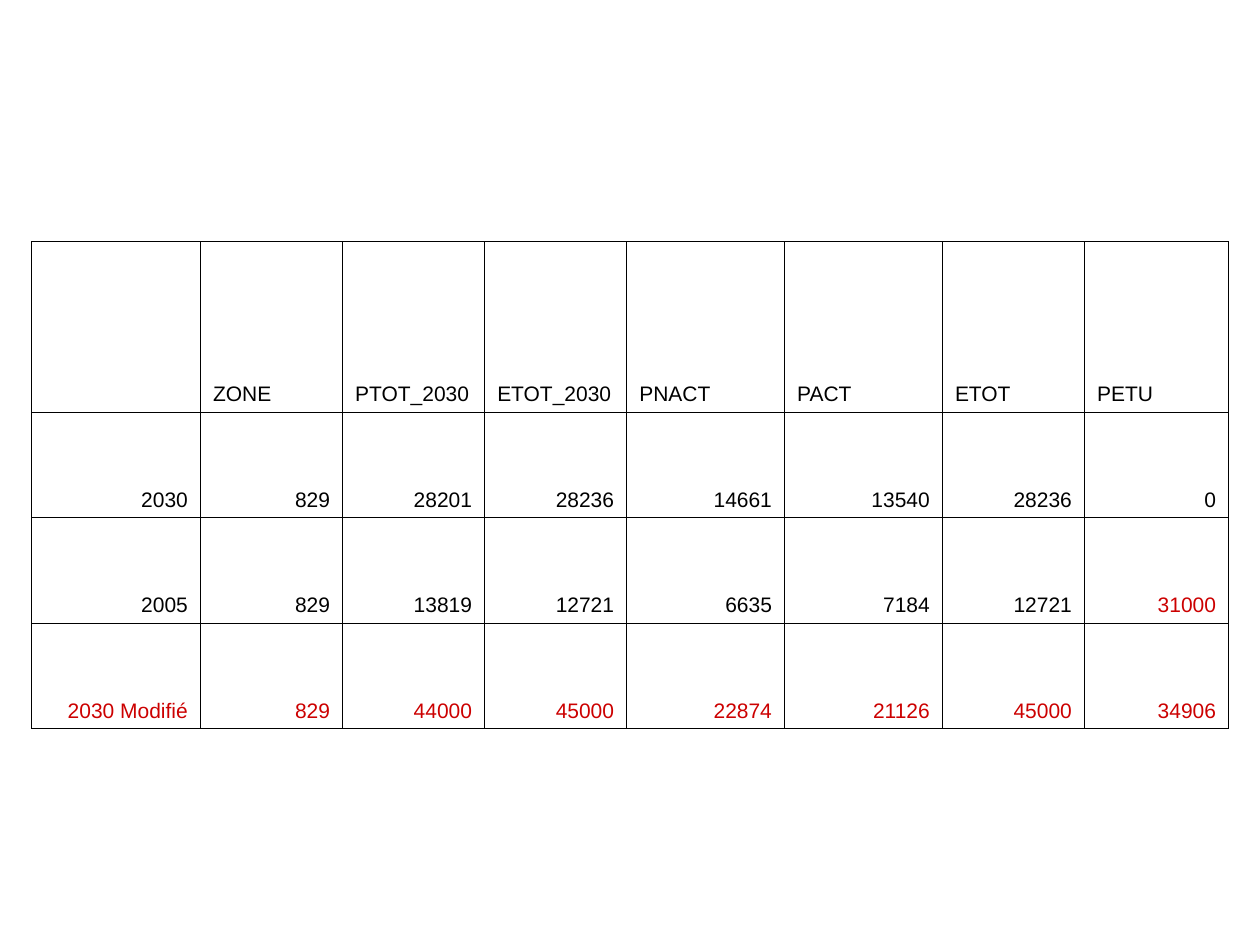
from dataclasses import dataclass

from lxml.etree import SubElement
from pptx import Presentation
from pptx.dml.color import RGBColor as RGB
from pptx.enum.text import MSO_ANCHOR as Anchor, PP_ALIGN as Align
from pptx.oxml.ns import qn
from pptx.util import Pt


@dataclass(frozen=True)
class Theme:
    font: str = "Arial"
    size: float = 12
    text: str = "000000"
    changed: str = "CC0000"
    border: str = "000000"
    border_width: float = 0.45


class Deck:
    def __init__(self, prs, theme):
        self.prs = prs
        self.theme = theme
        self.s = None

    def slide(self):
        self.s = self.prs.slides.add_slide(self.prs.slide_layouts[6])

    def table(self, left, top, widths, heights, rows, changed):
        frame = self.s.shapes.add_table(
            len(rows), len(widths), Pt(left), Pt(top), Pt(sum(widths)), Pt(sum(heights))
        )
        table = frame.table
        table.first_row = table.horz_banding = False
        for column, width in zip(table.columns, widths):
            column.width = Pt(width)
        for row, height in zip(table.rows, heights):
            row.height = Pt(height)
        for i, values in enumerate(rows):
            align = Align.RIGHT if i else Align.LEFT
            for j, value in enumerate(values):
                color = self.theme.changed if changed(i, j) else self.theme.text
                self.cell(table.cell(i, j), value, align, color)

    def cell(self, cell, value, align, color):
        self.borders(cell)
        cell.fill.background()
        cell.vertical_anchor = Anchor.BOTTOM
        p = cell.text_frame.paragraphs[0]
        p.text = value
        p.alignment = align
        p.font.name = self.theme.font
        p.font.size = Pt(self.theme.size)
        p.font.color.rgb = RGB.from_string(color)

    def borders(self, cell):
        props = cell._tc.get_or_add_tcPr()
        for side in ("lnL", "lnR", "lnT", "lnB"):
            line = SubElement(props, qn(f"a:{side}"), w=str(Pt(self.theme.border_width)))
            fill = SubElement(line, qn("a:solidFill"))
            SubElement(fill, qn("a:srgbClr"), val=self.theme.border)


def main():
    prs = Presentation()
    prs.slide_width, prs.slide_height = Pt(720), Pt(540)
    deck = Deck(prs, Theme())
    deck.slide()
    rows = [
        ["", "ZONE", "PTOT_2030", "ETOT_2030", "PNACT", "PACT", "ETOT", "PETU"],
        ["2030", "829", "28201", "28236", "14661", "13540", "28236", "0"],
        ["2005", "829", "13819", "12721", "6635", "7184", "12721", "31000"],
        ["2030 Modifié", "829", "44000", "45000", "22874", "21126", "45000", "34906"],
    ]
    deck.table(
        left=18,
        top=138,
        widths=[96.6] + [81.2] * 3 + [90.2] * 2 + [81.2, 82.4],
        heights=[97.6] + [60.3] * 3,
        rows=rows,
        changed=lambda i, j: i == 3 or (i, j) == (2, 7),
    )
    prs.save("out.pptx")


if __name__ == "__main__":
    main()
